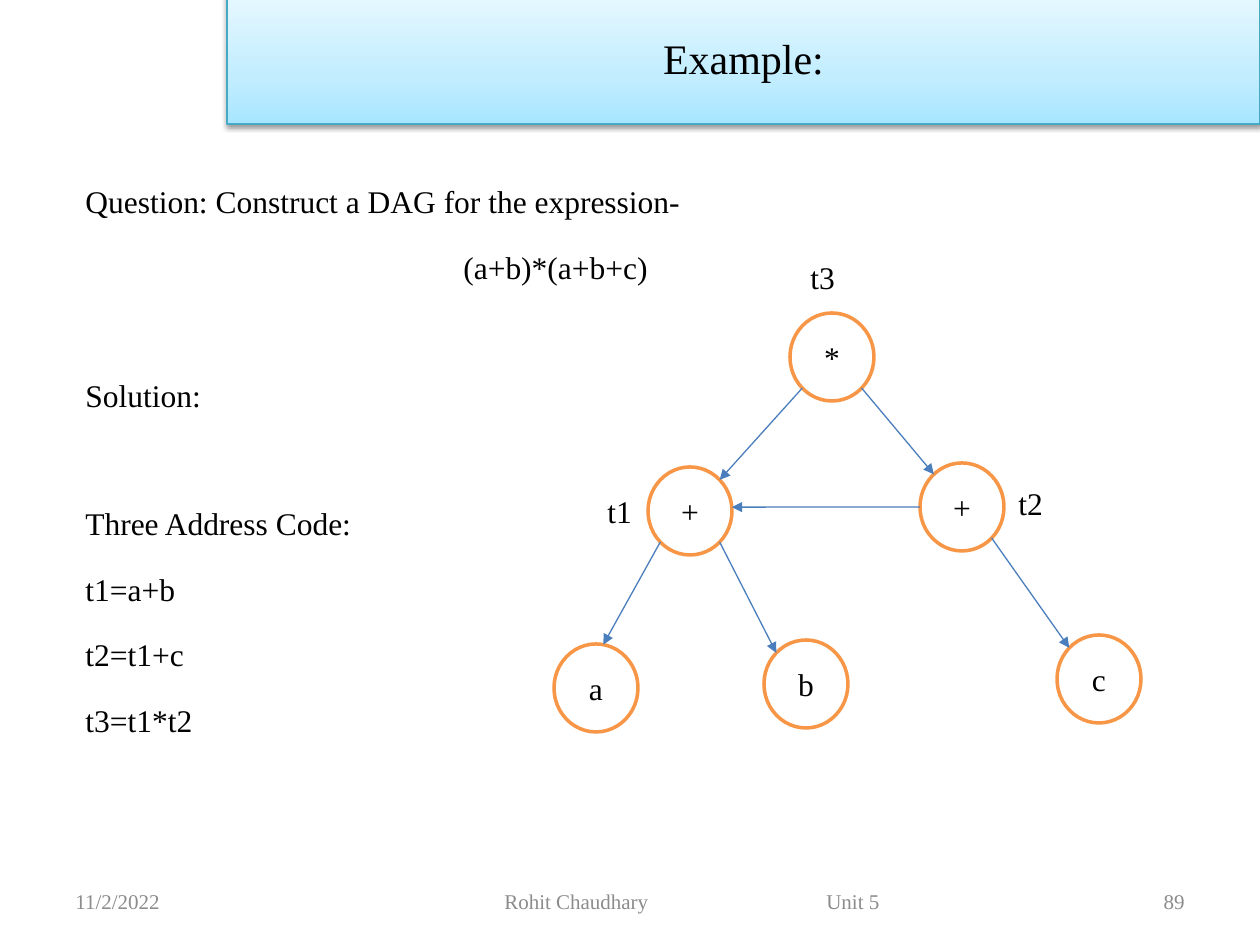
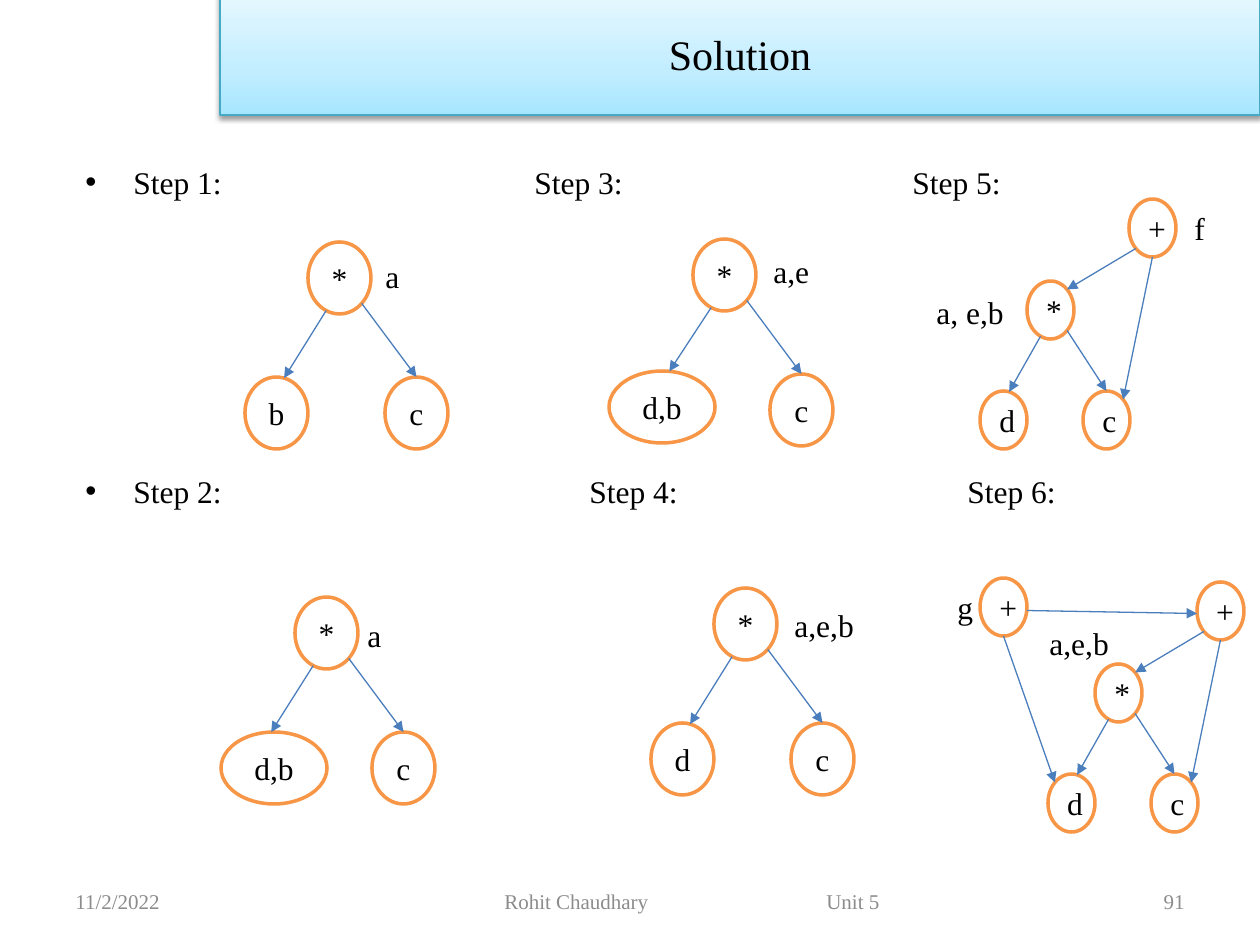
from collections import namedtuple
from dataclasses import dataclass
from math import cos, radians, sin

from pptx import Presentation
from pptx.dml.color import RGBColor
from pptx.enum.shapes import MSO_CONNECTOR, MSO_SHAPE
from pptx.enum.text import MSO_ANCHOR, MSO_AUTO_SIZE, PP_ALIGN
from pptx.oxml import parse_xml
from pptx.oxml.ns import nsdecls
from pptx.util import Pt

PX = 914400 / 126
LEFT, CENTER, RIGHT = PP_ALIGN.LEFT, PP_ALIGN.CENTER, PP_ALIGN.RIGHT
TOP, MIDDLE = MSO_ANCHOR.TOP, MSO_ANCHOR.MIDDLE
NO_FIT = MSO_AUTO_SIZE.NONE
OVAL, STRAIGHT = MSO_SHAPE.OVAL, MSO_CONNECTOR.STRAIGHT

Node = namedtuple("Node", "x y w h")
# Node size, then the shifts of the two children from their root
Spread = namedtuple("Spread", "w h left right drop")
BIG = Spread(63, 72, -63, 77, 135)
SMALL = Spread(47, 58, -47, 56, 110)


@dataclass(frozen=True)
class Theme:
    font: str = "Times New Roman"
    ink: str = "000000"
    muted: str = "8C8C8C"
    paper: str = "FFFFFF"
    ring: str = "F79646"
    edge: str = "4B7EBC"
    frame: str = "46AAC5"
    band: tuple = ((0, "A7E6FF"), (35, "C1EDFF"), (100, "E7F8FF"))
    title: int = 24
    body: int = 18
    foot: int = 12


THEME = Theme()


def emu(*px):
    return [round(n * PX) for n in px]


def rgb(code):
    return RGBColor.from_string(code)


def write(frame, text, size=THEME.body, color=THEME.ink, align=LEFT,
          anchor=TOP, spacing=None, before=0, indent=0, bullet=False):
    """Add one paragraph, filling the first one if it is still empty."""
    frame.word_wrap = True
    frame.auto_size = NO_FIT
    frame.vertical_anchor = anchor
    para = frame.paragraphs[0]
    if para.text:
        para = frame.add_paragraph()
    props = para._p.get_or_add_pPr()
    if indent:
        props.set("marL", str(emu(indent)[0]))
    if bullet:
        props.set("indent", str(-emu(indent)[0]))
        props.append(parse_xml(f'<a:buFont {nsdecls("a")} typeface="Arial"/>'))
        props.append(parse_xml(f'<a:buChar {nsdecls("a")} char="•"/>'))
    para.alignment = align
    if spacing:
        para.line_spacing = spacing
    if before:
        para.space_before = Pt(before)
    run = para.add_run()
    run.text = text
    run.font.name = THEME.font
    run.font.size = Pt(size)
    run.font.color.rgb = rgb(color)


def box(slide, x, y, w, h):
    return slide.shapes.add_textbox(*emu(x, y, w, h)).text_frame


def label(slide, text, x, y):
    write(box(slide, x, y, 30 + 12 * len(text), 50), text)


def banner(slide, text, x, h):
    """Turn the title placeholder into the shaded band at the top."""
    title = slide.shapes.title
    title.left, title.top, title.width, title.height = emu(x, -8, 1260 - x, h)
    stops = "".join(
        f'<a:gs pos="{pos * 1000}"><a:srgbClr val="{code}"/></a:gs>'
        for pos, code in THEME.band)
    props = title._element.spPr
    props.append(parse_xml(
        f'<a:gradFill {nsdecls("a")} rotWithShape="1"><a:gsLst>{stops}</a:gsLst>'
        '<a:lin ang="16200000" scaled="1"/></a:gradFill>'))
    title.line.color.rgb = rgb(THEME.frame)
    title.line.width = Pt(0.75)
    props.append(parse_xml(
        f'<a:effectLst {nsdecls("a")}><a:outerShdw blurRad="39370" '
        'dist="20320" dir="5400000" rotWithShape="0"><a:srgbClr val="000000">'
        '<a:alpha val="38000"/></a:srgbClr></a:outerShdw></a:effectLst>'))
    write(title.text_frame, text, size=THEME.title, align=CENTER, anchor=MIDDLE)


def footer(slide, page):
    for text, x, w, align in (("11/2/2022", 63, 294, LEFT),
                              ("Rohit Chaudhary", 492, 240, LEFT),
                              ("Unit 5", 814, 100, LEFT),
                              (page, 953, 244, RIGHT)):
        write(box(slide, x, 876, w, 50), text, size=THEME.foot,
              color=THEME.muted, align=align, anchor=MIDDLE)


def page(deck, title, x, h, number):
    slide = deck.slides.add_slide(deck.slide_layouts[5])
    banner(slide, title, x, h)
    footer(slide, number)
    return slide


def node(slide, text, x, y, w, h):
    oval = slide.shapes.add_shape(OVAL, *emu(x, y, w, h))
    oval.shadow.inherit = False
    oval.fill.solid()
    oval.fill.fore_color.rgb = rgb(THEME.paper)
    oval.line.color.rgb = rgb(THEME.ring)
    oval.line.width = Pt(2)
    write(oval.text_frame, text, align=CENTER, anchor=MIDDLE)
    return Node(x, y, w, h)


def rim(spot, angle):
    """Point on the outline of a node; angles run clockwise from the right."""
    turn = radians(angle)
    return (spot.x + spot.w / 2 * (1 + cos(turn)),
            spot.y + spot.h / 2 * (1 + sin(turn)))


def link(slide, start, leave, end, reach):
    """Draw an arrow between the rims of two nodes at the given angles."""
    line = slide.shapes.add_connector(
        STRAIGHT, *emu(*rim(start, leave), *rim(end, reach)))
    line.line.color.rgb = rgb(THEME.edge)
    line.line.width = Pt(0.75)
    line.line._get_or_add_ln().append(
        parse_xml(f'<a:tailEnd {nsdecls("a")} type="triangle"/>'))
    line._element.spPr.append(parse_xml(f'<a:effectLst {nsdecls("a")}/>'))


def tree(slide, x, y, form, text, shift=(0, 0), width=None, reach=-76):
    """Draw a product with two children; shift and width adjust the left one."""
    root = node(slide, "*", x, y, form.w, form.h)
    left = node(slide, text, x + form.left + shift[0], y + form.drop + shift[1],
                width or form.w, form.h)
    right = node(slide, "c", x + form.right, y + form.drop, form.w, form.h)
    link(slide, root, 115, left, reach)
    link(slide, root, 45, right, -90)
    return root, left, right


def sum_tree(slide, x, y):
    """Draw a small tree with a sum above it that shares the child c."""
    root, left, right = tree(slide, x, y, SMALL, "d")
    plus = node(slide, "+", x + 102, y - 82, SMALL.w, SMALL.h)
    link(slide, plus, 135, root, -45)
    link(slide, plus, 90, right, -45)
    return plus, left


def example(deck):
    slide = page(deck, "Example:", 227, 132, "89")
    frame = box(slide, 73, 157, 1134, 624)
    for text, before, indent in (
            ("Question: Construct a DAG for the expression-", 0, 0),
            ("(a+b)*(a+b+c)", 5, 378),
            ("Solution:", 41, 0),
            ("Three Address Code:", 41, 0),
            ("t1=a+b", 5, 0),
            ("t2=t1+c", 5, 0),
            ("t3=t1*t2", 5, 0)):
        write(frame, text, spacing=1.5, before=before, indent=indent)

    root, t1, t2, a, b, c = [
        node(slide, text, x, y, 84, 88) for text, x, y in (
            ("*", 790, 313), ("+", 648, 467), ("+", 920, 463),
            ("a", 554, 644), ("b", 764, 640), ("c", 1057, 635))]
    for start, leave, end, reach in (
            (root, 135, t1, -45), (root, 45, t2, -132), (t2, 180, t1, -5),
            (t1, 135, a, -80), (t1, 45, b, -135), (t2, 45, c, -135)):
        link(slide, start, leave, end, reach)
    for text, x, y in (("t1", 595, 486), ("t2", 1006, 478), ("t3", 798, 252)):
        label(slide, text, x, y)


def solution(deck):
    slide = page(deck, "Solution", 220, 123, "91")
    for top, steps in ((157, ((1, 73), (3, 522), (5, 900))),
                       (466, ((2, 73), (4, 577), (6, 955)))):
        for step, x in steps:
            first = x == 73
            write(box(slide, x, top, 200, 50), f"Step {step}:",
                  indent=48 if first else 0, bullet=first)

    tree(slide, 308, 242, BIG, "b")
    tree(slide, 693, 239, BIG, "d,b", shift=(-21, -3), width=106, reach=-82)
    tree(slide, 295, 597, BIG, "d,b", shift=(-11, 0), width=106, reach=-93)
    tree(slide, 714, 588, BIG, "d")
    sum_tree(slide, 1027, 281)
    plus, leaf = sum_tree(slide, 1095, 664)
    top = node(slide, "+", 980, 578, SMALL.w, SMALL.h)
    link(slide, top, 90, leaf, -135)
    link(slide, top, 7, plus, 175)

    for text, x, y in (("a", 373, 251), ("a,e", 761, 246), ("f", 1182, 203),
                       ("a, e,b", 924, 287), ("a", 355, 610),
                       ("a,e,b", 782, 600), ("g", 945, 582),
                       ("a,e,b", 1037, 618)):
        label(slide, text, x, y)


def main():
    deck = Presentation()
    deck.slide_width, deck.slide_height = emu(1260, 945)
    example(deck)
    solution(deck)
    deck.save("out.pptx")


if __name__ == "__main__":
    main()
